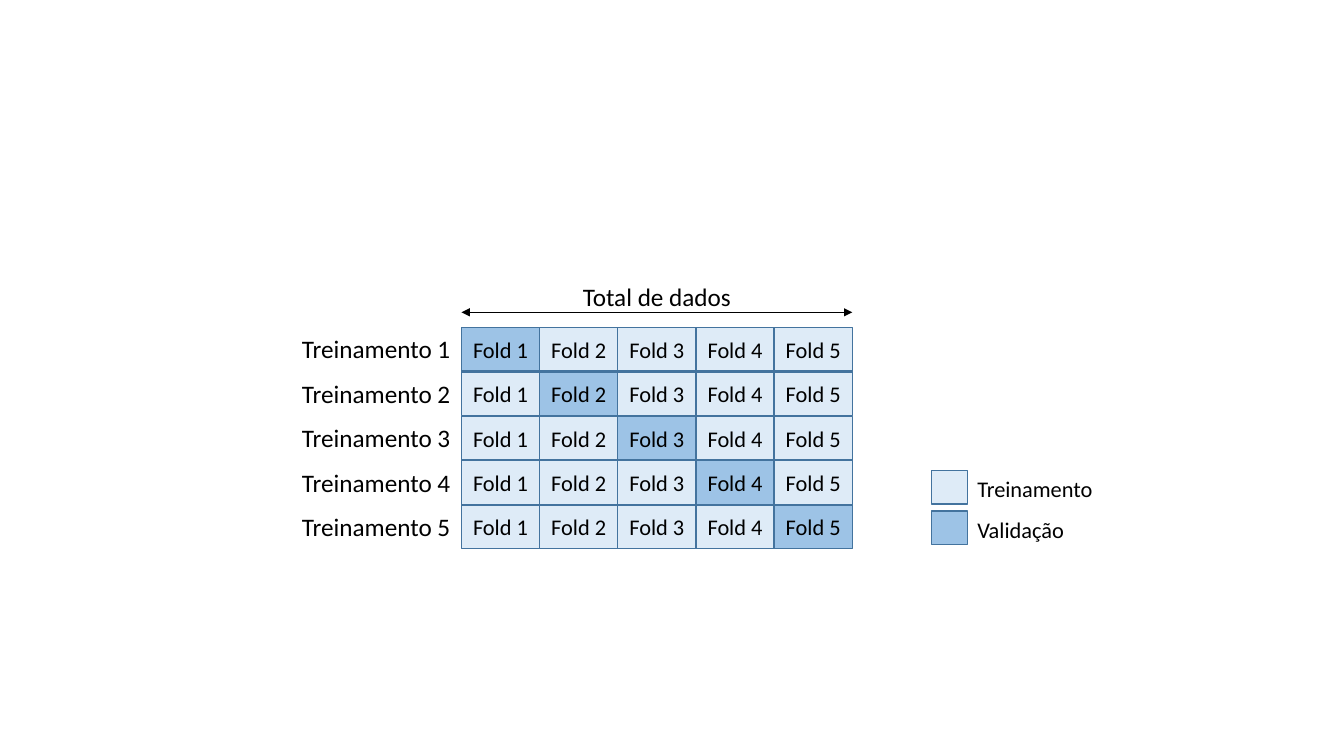
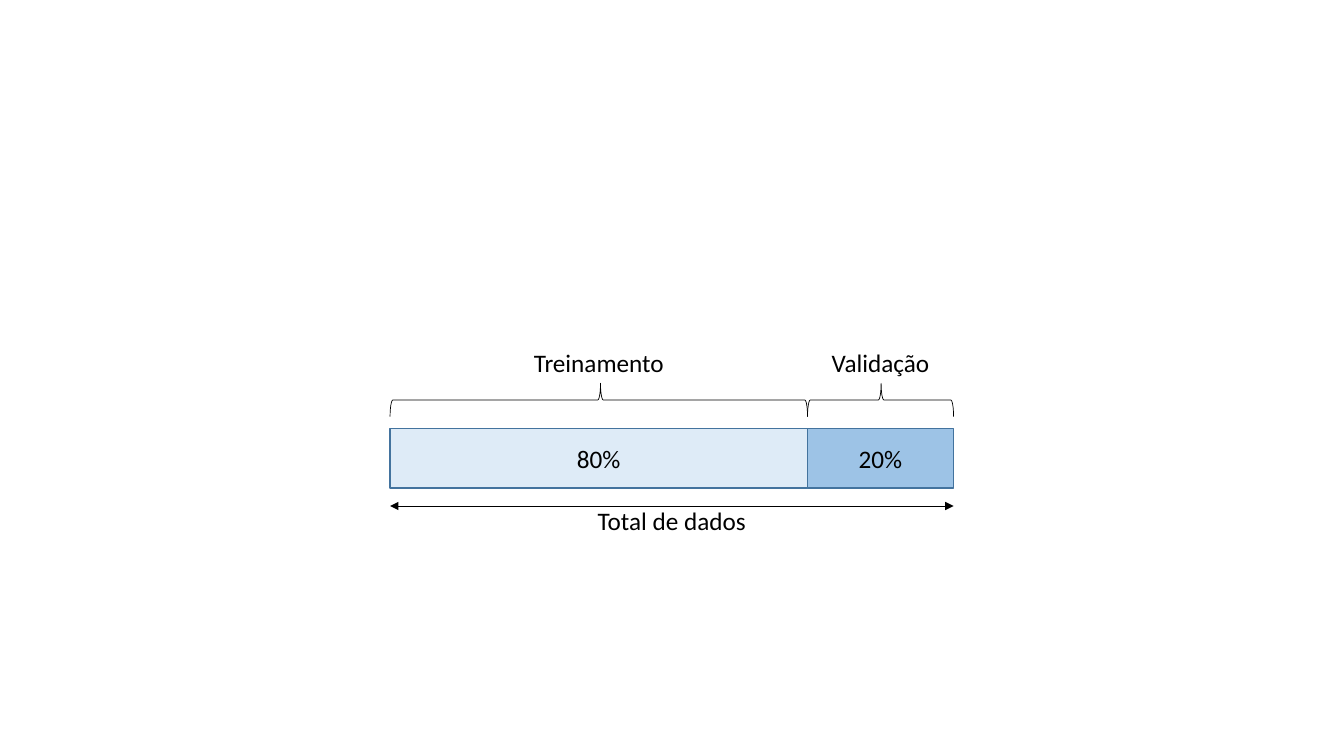
from lxml.etree import SubElement
from pptx import Presentation
from pptx.dml.color import RGBColor
from pptx.enum.shapes import MSO_CONNECTOR, MSO_SHAPE
from pptx.enum.text import MSO_ANCHOR, PP_ALIGN
from pptx.oxml.ns import qn
from pptx.util import Cm, Pt

FONT = "Calibri"
BLACK, EDGE = "000000", "43739E"
TRAIN, VALID = "DEEBF7", "9DC3E6"
TOTAL = "Total de dados"
LEGEND = [("Treinamento", TRAIN), ("Validação", VALID)]
SPLIT = [("Treinamento", "80%", 10.52, TRAIN), ("Validação", "20%", 3.68, VALID)]
FOLDS = 5
LINE_H = 1.02  # height of a text line box, in cm


def color(code):
    return RGBColor.from_string(code)


def write(shape, text, size, align):
    frame = shape.text_frame
    frame.word_wrap = True
    frame.text = text
    para = frame.paragraphs[0]
    para.alignment = align
    font = para.runs[0].font
    font.name, font.size = FONT, Pt(size)
    font.color.rgb = color(BLACK)


def label(slide, text, left, top, width, size=18, align=PP_ALIGN.CENTER):
    box = slide.shapes.add_textbox(Cm(left), Cm(top), Cm(width), Cm(LINE_H))
    write(box, text, size, align)


def block(slide, left, top, width, height, fill, text="", size=18):
    shape = slide.shapes.add_shape(
        MSO_SHAPE.RECTANGLE, Cm(left), Cm(top), Cm(width), Cm(height))
    shape.shadow.inherit = False
    shape.fill.solid()
    shape.fill.fore_color.rgb = color(fill)
    shape.line.color.rgb = color(EDGE)
    shape.line.width = Pt(1)
    if text:
        shape.text_frame.vertical_anchor = MSO_ANCHOR.MIDDLE
        write(shape, text, size, PP_ALIGN.CENTER)


def brace(slide, left, mid, width, depth=0.84):
    """Draw a brace that points up, centred on the height mid."""
    shape = slide.shapes.add_shape(
        MSO_SHAPE.LEFT_BRACE, Cm(left + (width - depth) / 2),
        Cm(mid - width / 2), Cm(depth), Cm(width))
    shape.rotation = 90
    shape.adjustments[1] = 0.496
    shape.shadow.inherit = False
    shape.fill.background()
    shape.line.color.rgb = color(BLACK)
    shape.line.width = Pt(0.5)


def span(slide, left, y, width):
    """Draw a level arrow with a head at both ends."""
    arrow = slide.shapes.add_connector(
        MSO_CONNECTOR.STRAIGHT, Cm(left), Cm(y), Cm(left + width), Cm(y))
    arrow.line.color.rgb = color(BLACK)
    arrow.line.width = Pt(0.5)
    line = arrow.line._get_or_add_ln()
    for end in ("a:headEnd", "a:tailEnd"):
        SubElement(line, qn(end), type="triangle")
    SubElement(arrow._element.spPr, qn("a:effectLst"))


def draw_folds(slide):
    left, top, cell_w, cell_h, pitch = 11.63, 8.25, 1.97, 1.1, 1.12
    label(slide, TOTAL, left, 6.96, FOLDS * cell_w)
    span(slide, left, 7.87, FOLDS * cell_w)
    for row in range(FOLDS):
        y = top + row * pitch
        label(slide, f"Treinamento {row + 1}", 7, y + 0.03, 4.6,
              align=PP_ALIGN.RIGHT)
        for col in range(FOLDS):
            block(slide, left + col * cell_w, y, cell_w, cell_h,
                  VALID if col == row else TRAIN, f"Fold {col + 1}", 16)
    for i, (name, fill) in enumerate(LEGEND):
        y = 11.86 + i * LINE_H
        block(slide, 23.47, y, 0.91, 0.84, fill)
        label(slide, name, 24.38, y, 4, 16, PP_ALIGN.LEFT)


def draw_split(slide):
    left = x = 9.83
    for name, share, width, fill in SPLIT:
        block(slide, x, 10.8, width, 1.5, fill, share)
        brace(slide, x, 10.08, width)
        label(slide, name, x, 8.64, width)
        x += width
    span(slide, left, 12.75, x - left)
    label(slide, TOTAL, left, 12.6, x - left)


def main():
    deck = Presentation()
    deck.slide_width, deck.slide_height = Cm(33.87), Cm(19.05)
    blank = deck.slide_layouts[6]
    for draw in (draw_folds, draw_split):
        draw(deck.slides.add_slide(blank))
    deck.save("out.pptx")


if __name__ == "__main__":
    main()
